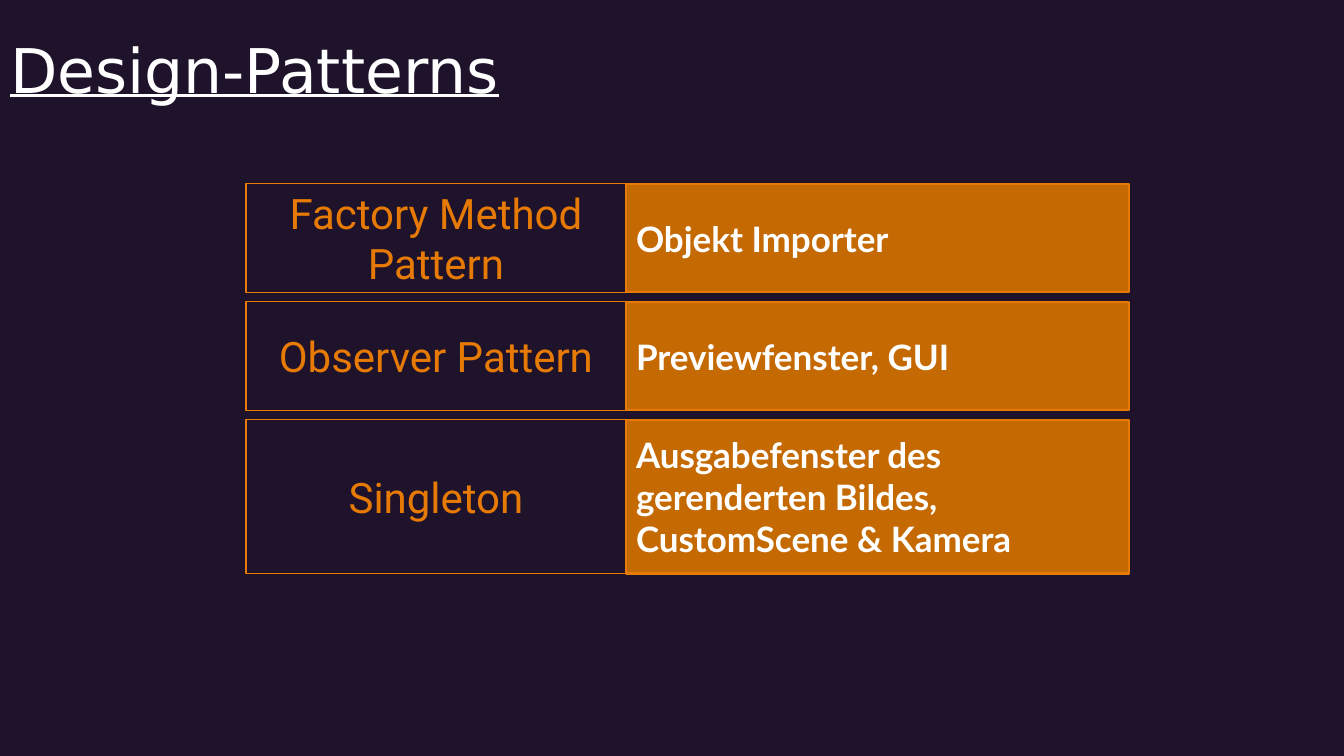
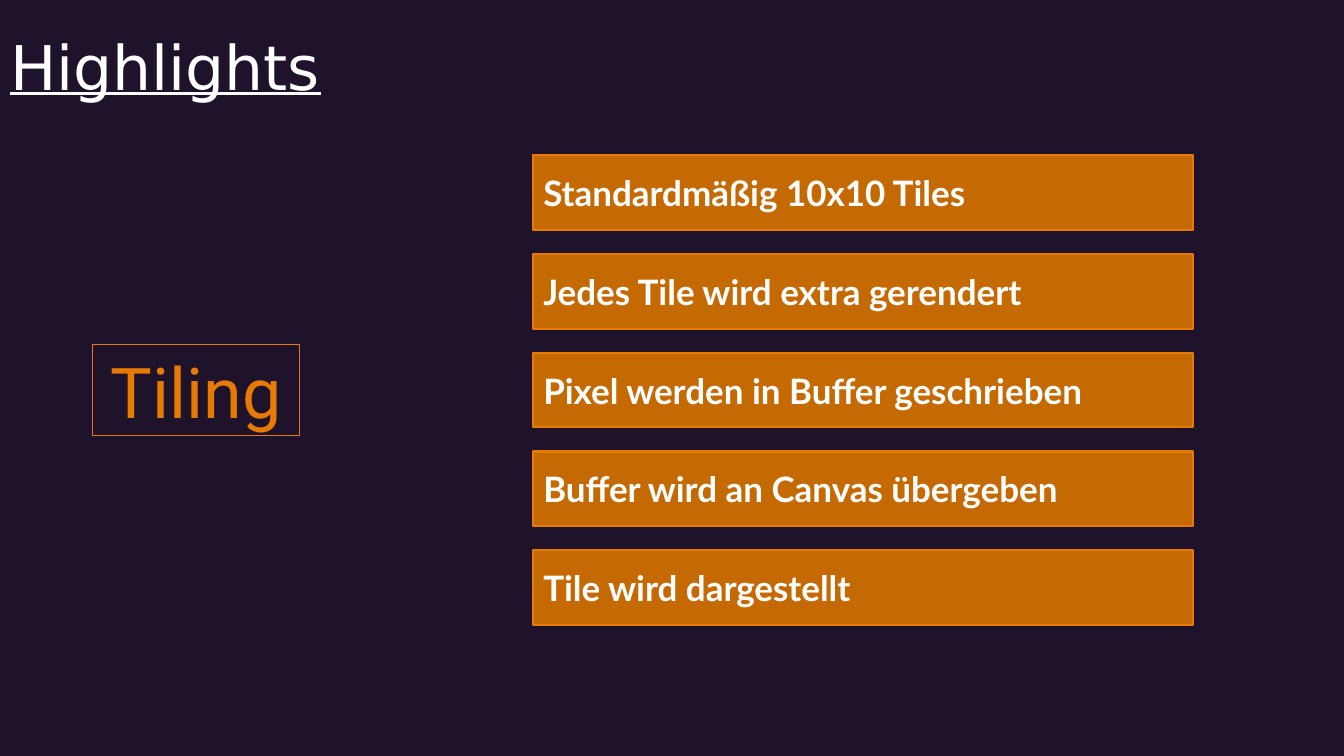
from dataclasses import dataclass

from pptx import Presentation
from pptx.dml.color import RGBColor
from pptx.enum.shapes import MSO_SHAPE as Shape
from pptx.enum.text import MSO_ANCHOR as Anchor, MSO_AUTO_SIZE as AutoSize, PP_ALIGN as Align
from pptx.util import Pt

EMU_PER_PX = 9144


@dataclass(frozen=True)
class Theme:
    background: RGBColor = RGBColor(0x1E, 0x13, 0x2B)
    accent: RGBColor = RGBColor(0xE6, 0x7A, 0x04)
    panel: RGBColor = RGBColor(0xC5, 0x69, 0x03)
    white: RGBColor = RGBColor(0xFF, 0xFF, 0xFF)
    title_font: str = "DejaVu Sans"
    label_font: str = "Roboto"
    panel_font: str = "Lato"
    title_size: int = 44
    topic_size: int = 50
    label_size: int = 30
    panel_size: int = 25
    label_line: float = 0.75
    panel_line: float = 1.5


THEME = Theme()

PATTERNS = [
    ("Factory Method Pattern", "Objekt Importer", 108),
    ("Observer Pattern", "Previewfenster, GUI", 108),
    ("Singleton", "Ausgabefenster des gerenderten Bildes, CustomScene & Kamera", 153),
]
TILING_STEPS = [
    "Standardmäßig 10x10 Tiles",
    "Jedes Tile wird extra gerendert",
    "Pixel werden in Buffer geschrieben",
    "Buffer wird an Canvas übergeben",
    "Tile wird dargestellt",
]


def px(*lengths):
    return [length * EMU_PER_PX for length in lengths]


def write_text(shape, text, *, font, size, color, align=Align.LEFT,
               bold=False, underline=False, line_spacing=None):
    frame = shape.text_frame
    frame.word_wrap = True
    frame.auto_size = AutoSize.NONE
    frame.vertical_anchor = Anchor.MIDDLE
    paragraph = frame.paragraphs[0]
    paragraph.alignment = align
    paragraph.line_spacing = line_spacing
    run = paragraph.add_run()
    run.text = text
    run.font.name = font
    run.font.size = Pt(size)
    run.font.color.rgb = color
    run.font.bold = bold
    run.font.underline = underline


def add_box(shapes, bounds, line_width, fill=None):
    box = shapes.add_shape(Shape.RECTANGLE, *px(*bounds))
    box.shadow.inherit = False
    if fill is None:
        box.fill.background()
    else:
        box.fill.solid()
        box.fill.fore_color.rgb = fill
    box.line.color.rgb = THEME.accent
    box.line.width = Pt(line_width)
    return box


def add_label(shapes, text, bounds, size=THEME.label_size):
    label = add_box(shapes, bounds, THEME.label_line)
    write_text(label, text, font=THEME.label_font, size=size,
               color=THEME.accent, align=Align.CENTER)


def add_panel(shapes, text, bounds):
    panel = add_box(shapes, bounds, THEME.panel_line, THEME.panel)
    write_text(panel, text, font=THEME.panel_font, size=THEME.panel_size,
               color=THEME.white, bold=True)


def add_titled_slide(prs, text, top=0):
    slide = prs.slides.add_slide(prs.slide_layouts.get_by_name("Title Only"))
    title = slide.shapes.title
    title.left, title.top, title.width, title.height = px(0, top, 1150, 145)
    write_text(title, text, font=THEME.title_font, size=THEME.title_size,
               color=THEME.white, underline=True, line_spacing=0.9)
    return slide


def build_patterns(prs):
    slide = add_titled_slide(prs, "Design-Patterns")
    label_left, label_width, panel_width = 244, 377, 499
    top, gap = 182, 9
    for pattern, usage, height in PATTERNS:
        row = slide.shapes.add_group_shape().shapes
        add_label(row, pattern, (label_left, top, label_width, height))
        add_panel(row, usage, (label_left + label_width, top + 1, panel_width, height - 1))
        top += height + gap


def build_highlights(prs):
    slide = add_titled_slide(prs, "Highlights", top=-2)
    add_label(slide.shapes, "Tiling", (92, 342, 205, 90), THEME.topic_size)
    first_top, height, gap = 154, 74, 24
    for index, step in enumerate(TILING_STEPS):
        add_panel(slide.shapes, step, (529, first_top + index * (height + gap), 654, height))


def main():
    prs = Presentation()
    prs.slide_width, prs.slide_height = px(1333, 750)
    backdrop = prs.slide_master.background.fill
    backdrop.solid()
    backdrop.fore_color.rgb = THEME.background
    build_patterns(prs)
    build_highlights(prs)
    prs.save("out.pptx")


if __name__ == "__main__":
    main()
